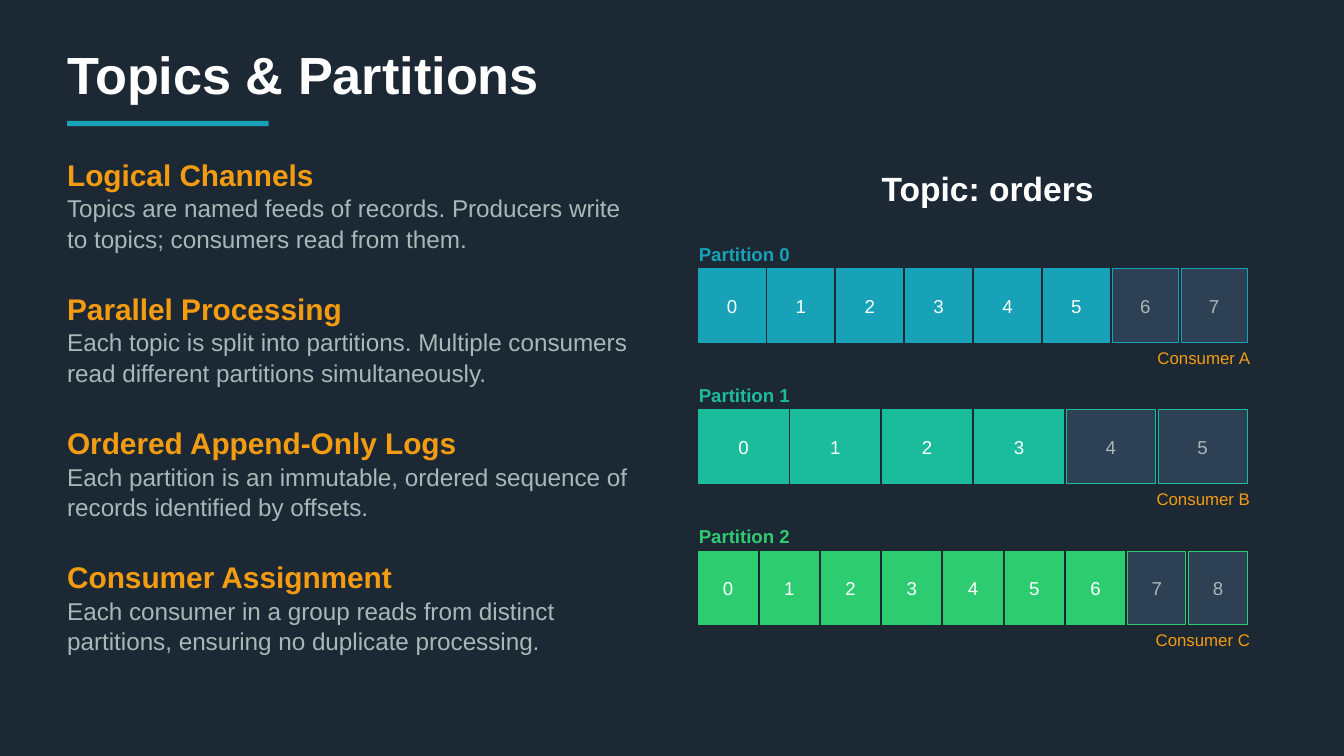
import pptx
import pptx.util
import pptx.dml.color
import pptx.enum.shapes
import pptx.enum.text
from dataclasses import dataclass

Pt = pptx.util.Pt
Align = pptx.enum.text.PP_ALIGN
Anchor = pptx.enum.text.MSO_ANCHOR


@dataclass(frozen=True)
class Theme:
    font: str = "Arial"
    back: str = "1C2833"
    white: str = "FFFFFF"
    gray: str = "AAB7B8"
    slate: str = "2E4053"
    gold: str = "F39C12"
    teal: str = "17A2B8"
    mint: str = "1ABC9C"
    green: str = "2ECC71"
    title: int = 28
    topic: int = 18
    head: int = 16
    body: int = 13
    label: int = 10
    note: int = 9


theme = Theme()
rgb = pptx.dml.color.RGBColor.from_string

deck = pptx.Presentation()
deck.slide_width, deck.slide_height = Pt(720), Pt(405)
slide = deck.slides.add_slide(deck.slide_layouts[6])
slide.background.fill.solid()
slide.background.fill.fore_color.rgb = rgb(theme.back)


def write(para, text, size, color, bold=False, align=Align.LEFT):
    para.alignment = align
    run = para.add_run()
    run.text = text
    run.font.name = theme.font
    run.font.size = Pt(size)
    run.font.bold = bold
    run.font.color.rgb = rgb(color)


def place(left, top, width, height, fill=None, line=None):
    """Add a rectangle, or a text box if there is no fill; return its text frame."""
    spot = Pt(left), Pt(top), Pt(width), Pt(height)
    if fill:
        kind = pptx.enum.shapes.MSO_SHAPE.RECTANGLE
        shape = slide.shapes.add_shape(kind, *spot)
        shape.shadow.inherit = False
        shape.fill.solid()
        shape.fill.fore_color.rgb = rgb(fill)
        if line:
            shape.line.color.rgb = rgb(line)
            shape.line.width = Pt(0.5)
        else:
            shape.line.fill.background()
    else:
        shape = slide.shapes.add_textbox(*spot)
    frame = shape.text_frame
    frame.word_wrap = True
    frame.margin_left = frame.margin_right = 0
    frame.margin_top = frame.margin_bottom = 0
    frame.vertical_anchor = Anchor.MIDDLE
    return frame


# Title and accent bar
frame = place(36, 18, 648, 43.2)
write(frame.paragraphs[0], "Topics & Partitions", theme.title, theme.white, True)
place(36, 64.8, 108, 2.88, theme.teal)

# Key ideas
ideas = [
    ("Logical Channels",
     "Topics are named feeds of records. Producers write to topics; "
     "consumers read from them."),
    ("Parallel Processing",
     "Each topic is split into partitions. Multiple consumers read "
     "different partitions simultaneously."),
    ("Ordered Append-Only Logs",
     "Each partition is an immutable, ordered sequence of records "
     "identified by offsets."),
    ("Consumer Assignment",
     "Each consumer in a group reads from distinct partitions, ensuring "
     "no duplicate processing."),
]
frame = place(36, 82.8, 302.4, 288)
frame.vertical_anchor = Anchor.TOP
for i, (head, body) in enumerate(ideas):
    para = frame.add_paragraph() if i else frame.paragraphs[0]
    para.line_spacing = 1.05
    para.space_before = Pt(19 if i else 0)
    write(para, head, theme.head, theme.gold, True)
    para = frame.add_paragraph()
    para.line_spacing = 1.05
    write(para, body, theme.body, theme.gray)

# Topic diagram: color, cells in all, cells already read
frame = place(367.2, 82.8, 324, 36)
write(frame.paragraphs[0], "Topic: orders", theme.topic, theme.white, True, Align.CENTER)

logs = [(theme.teal, 8, 6), (theme.mint, 6, 4), (theme.green, 9, 7)]
left, width, gap = 374.4, 295.2, 1.44
for row, (color, count, done) in enumerate(logs):
    top = 144 + 75.6 * row
    frame = place(left, top - 15.84, width, 15.84)
    write(frame.paragraphs[0], f"Partition {row}", theme.label, color, True)

    step = width / count
    for n in range(count):
        fill, ink = (color, theme.white) if n < done else (theme.slate, theme.gray)
        frame = place(left + n * step, top, step - gap, 39.6, fill, color)
        write(frame.paragraphs[0], str(n), theme.label, ink, align=Align.CENTER)

    frame = place(left, top + 41.04, width, 12.96)
    write(frame.paragraphs[0], f"Consumer {'ABC'[row]}", theme.note, theme.gold,
          align=Align.RIGHT)

deck.save("out.pptx")
